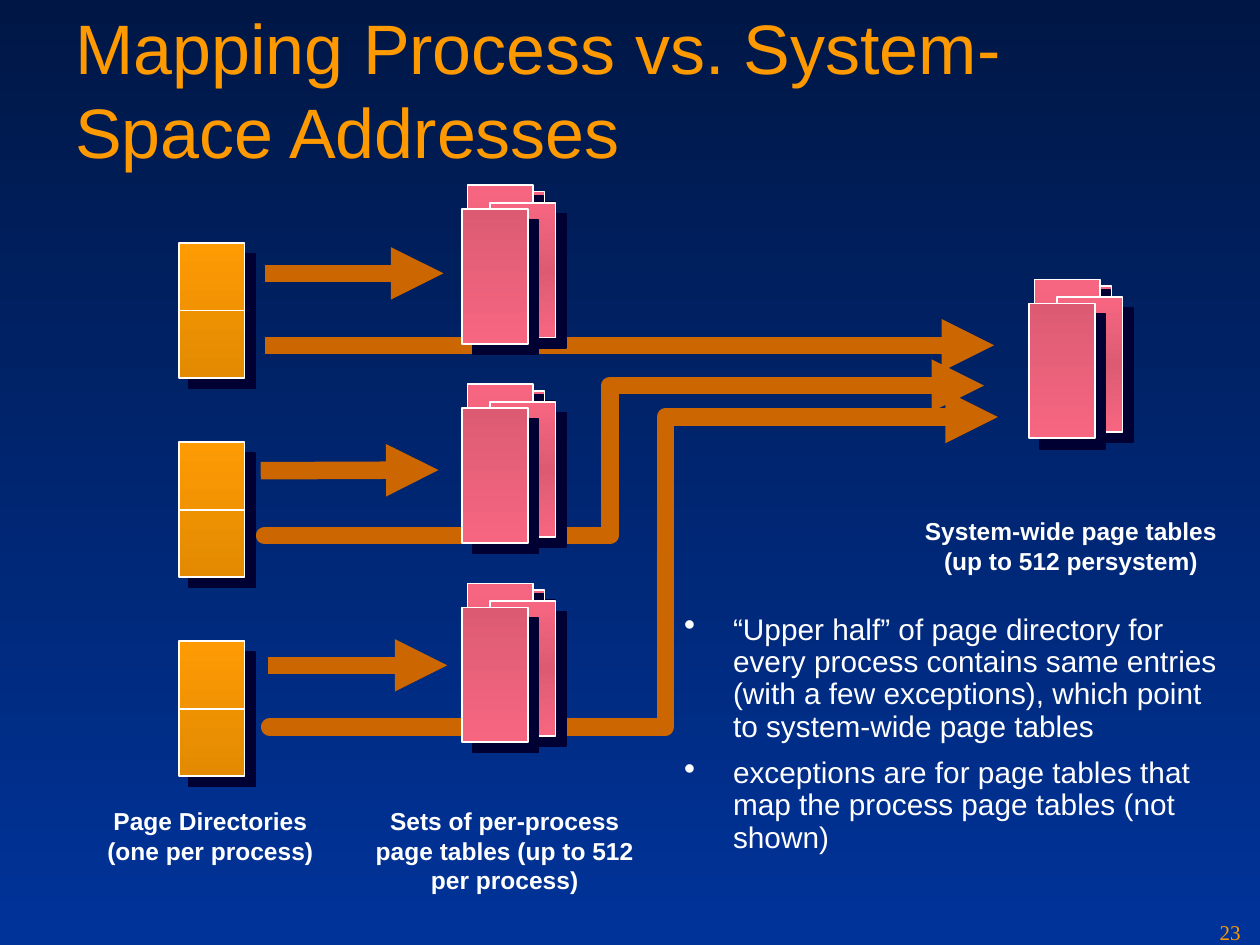
import copy

import lxml.etree
import pptx
import pptx.dml.color
import pptx.enum.shapes
import pptx.enum.text
import pptx.oxml.ns
import pptx.util

Pt = pptx.util.Pt
qn = pptx.oxml.ns.qn
ALIGN = pptx.enum.text.PP_ALIGN
ANCHOR = pptx.enum.text.MSO_ANCHOR

COLORS = {
    "night": "001746", "blue": "003399", "shadow": "000033", "white": "FFFFFF",
    "title": "FE9900", "arrow": "CC6600", "amber": "FE9B03", "amber_dark": "E38A02",
    "pink": "F76681", "rose": "DC5B73",
}
RECT_WIDTH, RECT_HEIGHT = 37.5, 77
DIRECTORY_LEFT, DIRECTORY_TOP, ROW_PITCH = 102.2, 139, 113.75
TABLES_LEFT, TABLES_RISE = 264.2, 19.4
STACK = [
    (9.4, -10.1, ("pink", "rose")),
    (2.9, -13.7, ("pink", "rose")),
    (15.8, -3.6, ("pink", "rose", "pink")),
    (0, 0, ("rose", "pink")),
]
PROCESSES = [
    (0, [(151.2, 156.2), (253.4, 156.2)], [(151.2, 197.3), (568.1, 197.3)]),
    (2, [(153.4, 380.2), (255.6, 380.2)],
     [(154.1, 415.4), (380.2, 415.4), (380.2, 238.3), (570.2, 238.3)]),
    (1, [(149, 269), (250.6, 268.6)],
     [(151.2, 306), (348.5, 306), (348.5, 220.3), (562.3, 220.3)]),
]
CAPTIONS = [
    (["Page Directories", "(one per process)"], 54, 457.2, 132.5, 41),
    (["Sets of per-process", "page tables (up to 512", "per process)"], 207.4, 457.2, 162, 57.6),
    (["System-wide page tables", "(up to 512 persystem)"], 521.3, 291.6, 181.4, 41),
]
NOTES = [
    "“Upper half” of page directory for every process contains same entries "
    "(with a few exceptions), which point to system-wide page tables",
    "exceptions are for page tables that map the process page tables (not shown)",
]


def rgb(name):
    return pptx.dml.color.RGBColor.from_string(COLORS[name])


def add_element(parent, tag, **attributes):
    return lxml.etree.SubElement(parent, qn(tag), attributes)


def set_gradient(fill, element, names):
    fill.gradient()
    fill.gradient_angle = 270
    stop_list = element.find(".//" + qn("a:gsLst"))
    while len(stop_list) < len(names):
        stop_list.insert(1, copy.deepcopy(stop_list[0]))
    for index, (stop, name) in enumerate(zip(fill.gradient_stops, names)):
        stop.color.rgb = rgb(name)
        stop.position = index / (len(names) - 1)


def add_rect(shapes, left, top, names):
    box = shapes.add_shape(pptx.enum.shapes.MSO_SHAPE.RECTANGLE,
                           Pt(left), Pt(top), Pt(RECT_WIDTH), Pt(RECT_HEIGHT))
    set_gradient(box.fill, box._element, names)
    box.line.color.rgb = rgb("white")
    box.line.width = Pt(1)
    box.shadow.inherit = False
    effects = box._element.spPr.find(qn("a:effectLst"))
    shadow = add_element(effects, "a:outerShdw", blurRad="0", dist=str(Pt(8.5)),
                         dir="2700000", algn="ctr", rotWithShape="0")
    add_element(shadow, "a:srgbClr", val=COLORS["shadow"])
    return box


def add_stack(shapes, left, top):
    for shift_x, shift_y, names in STACK:
        add_rect(shapes, left + shift_x, top + shift_y, names)


def add_line(shapes, start, end, color, width):
    line = shapes.add_connector(pptx.enum.shapes.MSO_CONNECTOR.STRAIGHT,
                                *[Pt(value) for value in (*start, *end)])
    line.line.color.rgb = rgb(color)
    line.line.width = Pt(width)
    add_element(line._element.spPr, "a:effectLst")
    return line


def add_arrow(shapes, points):
    if len(points) == 2:
        arrow = add_line(shapes, *points, "arrow", 10)
    else:
        corners = [(Pt(x), Pt(y)) for x, y in points]
        builder = shapes.build_freeform(*corners[0], scale=1.0)
        builder.add_line_segments(corners[1:], close=False)
        arrow = builder.convert_to_shape()
        arrow.fill.background()
        arrow.shadow.inherit = False
        arrow.line.color.rgb = rgb("arrow")
        arrow.line.width = Pt(10)
        outline = arrow._element.spPr.find(qn("a:ln"))
        outline.set("cap", "rnd")
        add_element(outline, "a:round")
    add_element(arrow._element.spPr.find(qn("a:ln")), "a:tailEnd", type="triangle")


def add_process(page, row, upper_path, lower_path):
    shapes = page.shapes.add_group_shape().shapes
    top = DIRECTORY_TOP + row * ROW_PITCH
    middle = top + RECT_HEIGHT / 2
    add_arrow(shapes, lower_path)
    directory = add_rect(shapes, DIRECTORY_LEFT, top, ("amber", "amber_dark"))
    divider = add_line(shapes, (DIRECTORY_LEFT, middle),
                       (DIRECTORY_LEFT + RECT_WIDTH, middle), "white", 1)
    divider.begin_connect(directory, 1)
    divider.end_connect(directory, 3)
    add_stack(shapes, TABLES_LEFT, top - TABLES_RISE)
    add_arrow(shapes, upper_path)


def add_bullet(para):
    properties = para._p.get_or_add_pPr()
    properties.set("marL", str(Pt(28)))
    properties.set("indent", str(Pt(-28)))
    color = add_element(properties, "a:buClr")
    add_element(color, "a:srgbClr", val=COLORS["white"])
    add_element(properties, "a:buSzPct", val="110000")
    add_element(properties, "a:buChar", char="•")


def add_text(page, texts, left, top, width, height, size=14, color="white", font="Arial",
             bold=False, align=ALIGN.LEFT, anchor=ANCHOR.TOP, wrap=True, bullets=False):
    box = page.shapes.add_textbox(Pt(left), Pt(top), Pt(width), Pt(height))
    frame = box.text_frame
    frame.word_wrap = wrap
    frame.vertical_anchor = anchor
    for index, text in enumerate(texts):
        para = frame.add_paragraph() if index else frame.paragraphs[0]
        span = para.add_run()
        span.text = text
        if bullets:
            add_bullet(para)
            para.line_spacing = 0.9
            para.space_before = Pt(4.2 if index else 0)
            para.space_after = Pt(4.2)
        para.alignment = align
        span.font.name = font
        span.font.size = Pt(size)
        span.font.bold = bold
        span.font.color.rgb = rgb(color)


def main():
    deck = pptx.Presentation()
    deck.slide_width, deck.slide_height = Pt(720), Pt(540)
    page = deck.slides.add_slide(deck.slide_layouts[6])
    set_gradient(page.background.fill, page._element, ("night", "blue"))

    add_text(page, ["Mapping Process vs. System-Space Addresses"], 36, 5.8, 648, 90,
             size=40, color="title", anchor=ANCHOR.MIDDLE)
    add_stack(page.shapes.add_group_shape().shapes, 588.2, 173.5)
    add_text(page, NOTES, 383.8, 347.8, 324, 162, size=17, bullets=True)
    for lines, *place in CAPTIONS:
        add_text(page, lines, *place, bold=True, align=ALIGN.CENTER, wrap=False)
    for row, upper_path, lower_path in PROCESSES:
        add_process(page, row, upper_path, lower_path)
    add_text(page, ["23"], 689.8, 522, 30.2, 18, size=12, color="title",
             font="Times New Roman")
    deck.save("out.pptx")


if __name__ == "__main__":
    main()
